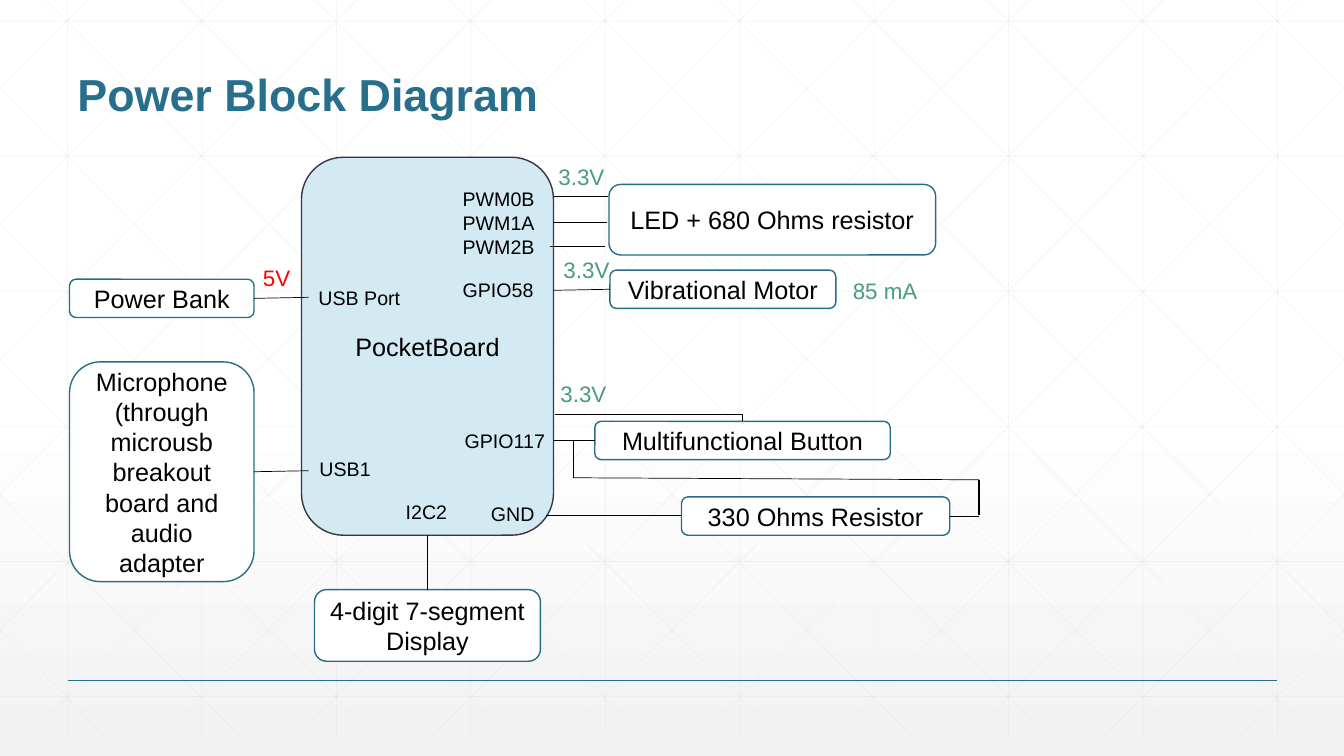
from copy import deepcopy

from pptx import Presentation
from pptx.dml.color import RGBColor
from pptx.enum import shapes, text
from pptx.oxml.ns import qn
from pptx.util import Inches, Pt
from lxml import etree

W, H = 13.33, 7.5
BLACK, WHITE, TEAL = "000000", "FFFFFF", "276F8B"
BORDER, GREEN, RED = "266D8A", "4A9B83", "FF0000"


def rgb(value):
    return RGBColor.from_string(value)


def write(tf, content, size=18, color=BLACK, bold=False, align=None,
          anchor=text.MSO_ANCHOR.TOP, spacing=None):
    """Fill a text frame, one paragraph per line of content."""
    tf.word_wrap = True
    tf.vertical_anchor = anchor
    for i, line in enumerate(content.split("\n")):
        p = tf.paragraphs[0] if i == 0 else tf.add_paragraph()
        p.alignment = align
        p.line_spacing = spacing
        r = p.add_run()
        r.text = line
        r.font.name = "Arial"
        r.font.size = Pt(size)
        r.font.bold = bold
        r.font.color.rgb = rgb(color)


def label(s, x, y, w, h, content, **style):
    sp = s.shapes.add_textbox(Inches(x), Inches(y), Inches(w), Inches(h))
    write(sp.text_frame, content, **style)


def block(s, x, y, w, h, content, fill=WHITE, line=BORDER):
    sp = s.shapes.add_shape(shapes.MSO_SHAPE.ROUNDED_RECTANGLE,
                            Inches(x), Inches(y), Inches(w), Inches(h))
    sp.shadow.inherit = False
    sp.fill.solid()
    sp.fill.fore_color.rgb = rgb(fill)
    sp.line.color.rgb = rgb(line)
    sp.line.width = Pt(1)
    write(sp.text_frame, content, align=text.PP_ALIGN.CENTER,
          anchor=text.MSO_ANCHOR.MIDDLE)
    return sp


def wire(s, x1, y1, x2, y2, color=BLACK, width=0.5, alpha=None, elbow=False,
         begin=None, end=None):
    """Draw a line; begin and end are (shape, side) pairs to join."""
    kind = shapes.MSO_CONNECTOR.ELBOW if elbow else shapes.MSO_CONNECTOR.STRAIGHT
    c = s.shapes.add_connector(kind, Inches(x1), Inches(y1),
                               Inches(x2), Inches(y2))
    c.line.color.rgb = rgb(color)
    c.line.width = Pt(width)
    props = c._element.spPr
    etree.SubElement(props, qn("a:effectLst"))
    if elbow:
        props.find(qn("a:prstGeom")).set("prst", "bentConnector2")
    if alpha:
        clr = next(props.iter(qn("a:srgbClr")))
        etree.SubElement(clr, qn("a:alpha")).set("val", str(alpha * 1000))
    if begin:
        c.begin_connect(*begin)
    if end:
        c.end_connect(*end)


def background(s):
    fill = s.background.fill
    fill.gradient()
    fill.gradient_angle = 270
    stops = s.background._cSld.find(".//" + qn("a:gsLst"))
    stops.append(deepcopy(stops[-1]))
    for stop, color, position in zip(fill.gradient_stops,
                                     (WHITE, WHITE, "F2F2F2"), (0, 0.53, 1)):
        stop.color.rgb = rgb(color)
        stop.position = position


def grid(s, left, top, width, height):
    """Faint square grid with both sets of diagonals, clipped to the box."""
    faint = {"color": "D9D9D9", "alpha": 25}
    step, run, bottom = 4 / 3, 7.45, top + height
    for i in range(10):
        x = left + 0.67 + i * step
        wire(s, x, top, x, bottom, **faint)
    for i in range(6):
        y = top + 0.42 + i * 1.34
        wire(s, left, y, left + width, y, **faint)
    for i in range(-5, 10):
        start = 0.25 + i * step
        a, b = max(start, 0), min(start + run, width)
        y1, y2 = (top + (x - start) * height / run for x in (a, b))
        wire(s, left + a, y1, left + b, y2, **faint)
        wire(s, left + width - a, y1, left + width - b, y2, **faint)


def header(s, x, y, w, h):
    label(s, x, y, w, h, "Power Block Diagram", size=32, color=TEAL, bold=True,
          anchor=text.MSO_ANCHOR.BOTTOM, spacing=0.9)


def board(s, x, y, w, h):
    """Main board with its pin names and the display below it."""
    main = block(s, x, y, w, h, "PocketBoard", fill="D4EAF3", line="373545")
    pins = [("USB Port", 0.07, 1.23), ("USB1", 0.08, 2.92),
            ("PWM0BPWM1A\nPWM2B", 1.5, 0.25), ("GPIO58", 1.5, 1.15),
            ("GPIO117", 1.52, 2.65), ("GND", 1.78, 3.37)]
    for name, dx, dy in pins:
        label(s, x + dx, y + dy, 1.04, 0.34, name, size=14)
    label(s, x + 0.72, y + 3.35, 1.04, 0.34, "I2C2", size=14,
          align=text.PP_ALIGN.CENTER)
    display = block(s, x + 0.13, y + h + 0.54, 2.24, 0.71,
                    "4-digit 7-segment Display")
    wire(s, x, y, x, y, begin=(display, 0), end=(main, 2))


def usb_side(s, x, y, w):
    """Power supply and microphone, left of the board."""
    bank = block(s, x, y + 0.2, w, 0.38, "Power Bank")
    mic = block(s, x, y + 1.02, w, 2.18, "Microphone\n(through microusb "
                "breakout board and audio adapter")
    for device, dy in ((bank, 0.38), (mic, 2.1)):
        wire(s, x + 2.37, y + dy, x + w, y + dy, end=(device, 3))
    label(s, x + w - 0.01, y, 0.53, 0.37, "5V", size=16, color=RED)


def gpio_side(s, x, y):
    """Outputs, button and resistor; x is the right edge of the board."""
    block(s, x + 0.55, y + 0.27, 3.24, 0.7, "LED + 680 Ohms resistor")
    motor = block(s, x + 0.56, y + 1.12, 2.24, 0.38, "Vibrational Motor")
    button = block(s, x + 0.41, y + 2.62, 2.93, 0.38, "Multifunctional Button")
    wire(s, x - 0.07, y + 3.55, x + 1.27, y + 3.46, elbow=True)
    resistor = block(s, x + 1.27, y + 3.37, 2.66, 0.38, "330 Ohms Resistor")

    for dx, dy in ((0, 0.39), (-0.01, 0.65), (-0.03, 0.88)):
        wire(s, x + dx + 0.54, y + dy, x + dx, y + dy)
    for device, dy in ((motor, 1.32), (button, 2.81)):
        wire(s, x + 0.5, y + dy, x, y + dy, begin=(device, 1))
    wire(s, x + 0.01, y + 2.55, x + 1.87, y + 2.62, elbow=True)

    near, far = x + 0.2, x + 4.22
    wire(s, near, y + 2.81, near, y + 3.18, width=1)
    wire(s, far, y + 3.2, near, y + 3.18)
    wire(s, far, y + 3.2, far, y + 3.55, width=1)
    wire(s, far, y + 3.56, x + 3.93, y + 3.56, end=(resistor, 3))

    for content, dx, dy, w in (("3.3V", -0.05, 0.01, 0.78),
                               ("3.3V", 0, 0.93, 0.78),
                               ("3.3V", -0.03, 2.16, 0.78),
                               ("85 mA", 2.87, 1.14, 1.06)):
        label(s, x + dx, y + dy, w, 0.37, content, size=16, color=GREEN)


def main():
    prs = Presentation()
    prs.slide_width, prs.slide_height = Inches(W), Inches(H)
    s = prs.slides.add_slide(prs.slide_layouts[6])
    background(s)
    grid(s, 0, -0.21, W, H)
    wire(s, 0.67, 6.75, 12.67, 6.75, color=TEAL, width=1)
    header(s, 0.67, 0.25, 12, 1)
    board(s, 2.99, 1.56, 2.5, 3.75)
    usb_side(s, 0.69, 2.57, 1.83)
    gpio_side(s, 5.49, 1.56)
    prs.save("out.pptx")


if __name__ == "__main__":
    main()
